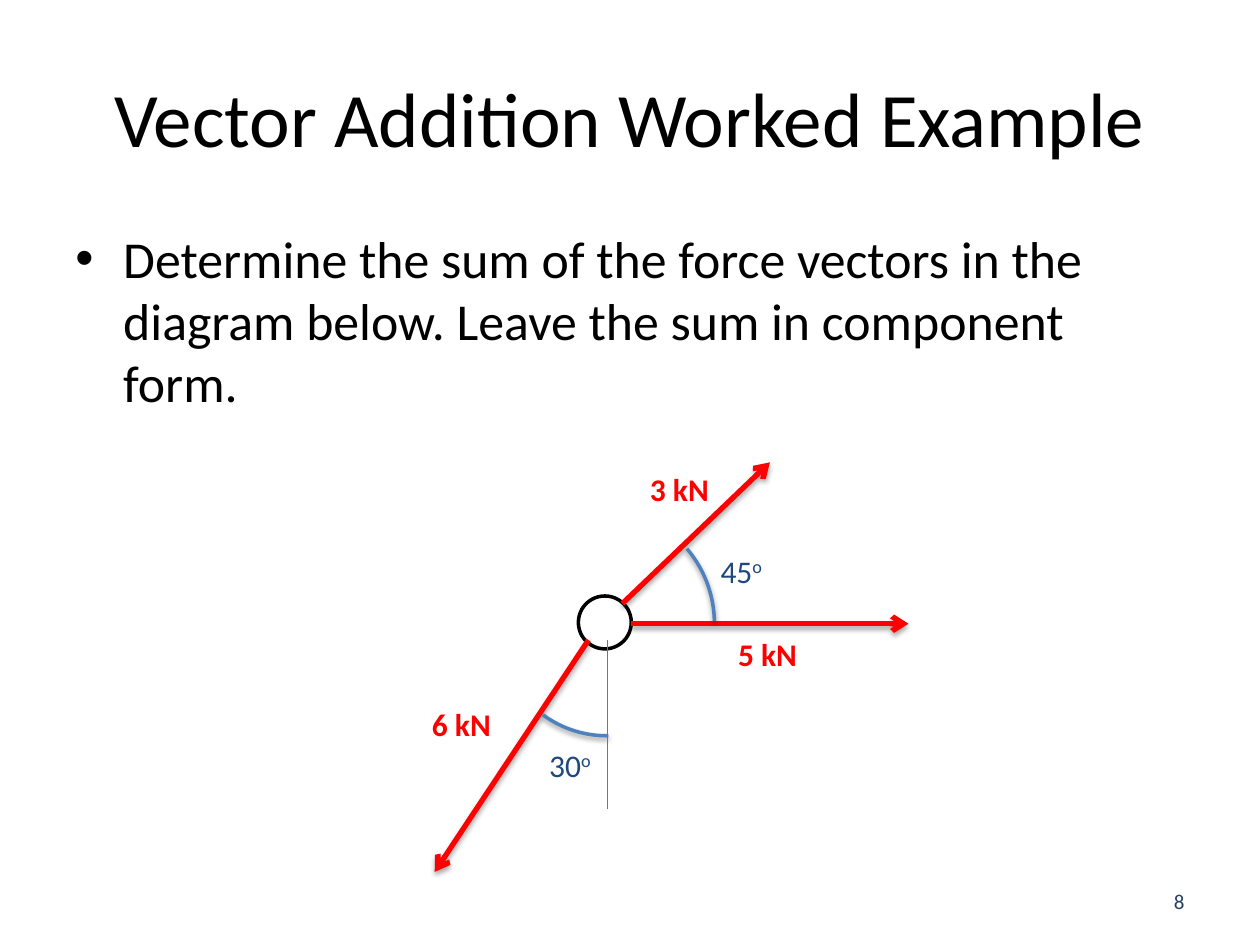
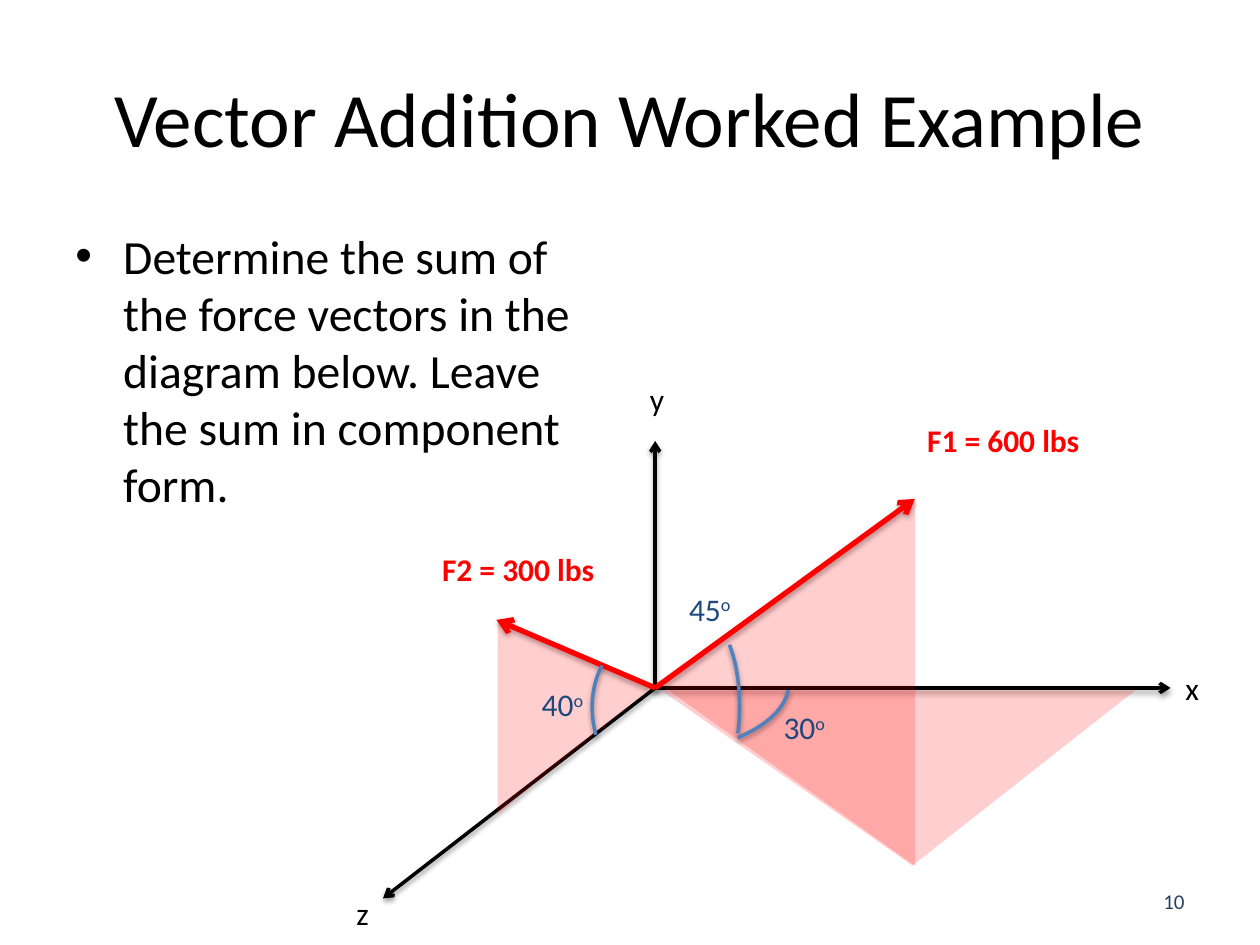
from lxml.etree import SubElement
from pptx import Presentation
from pptx.dml.color import RGBColor
from pptx.enum.shapes import MSO_CONNECTOR, MSO_SHAPE
from pptx.enum.text import MSO_ANCHOR, PP_ALIGN
from pptx.oxml.ns import qn
from pptx.util import Inches, Pt

FONT = "Calibri"
COLORS = {
    "text": "000000",
    "paper": "FFFFFF",
    "force": "FF0000",
    "arc": "4F81BD",
    "reference": "4B7EBC",
    "angle": "1F497D",
    "number": "254061",
}
TITLE = "Vector Addition Worked Example"
TASK = ("Determine the sum of the force vectors in the diagram below. "
        "Leave the sum in component form.")


def rgb(name):
    return RGBColor.from_string(COLORS[name])


def inches(values):
    return [Inches(v) for v in values]


def add_effects(shape, alpha=None, dist=1.57):
    """Replace the theme shadow by a soft one below, or by none without alpha."""
    effects = SubElement(shape._element.spPr, qn("a:effectLst"))
    if alpha:
        shadow = SubElement(effects, qn("a:outerShdw"), blurRad=str(Pt(3.1)),
                            dist=str(Pt(dist)), dir="5400000", rotWithShape="0")
        color = SubElement(shadow, qn("a:srgbClr"), val=COLORS["text"])
        SubElement(color, qn("a:alpha"), val=str(alpha * 1000))


def add_bullet(p, indent=0.38):
    pPr = p._p.get_or_add_pPr()
    pPr.set("marL", str(Inches(indent)))
    pPr.set("indent", str(-Inches(indent)))
    SubElement(pPr, qn("a:buFont"), typeface="Arial")
    SubElement(pPr, qn("a:buChar"), char="•")


def add_text(s, text, box, size=18, color="text", bold=False, sup="",
             align=PP_ALIGN.LEFT, anchor=MSO_ANCHOR.TOP, wrap=True, bullet=False):
    tf = s.shapes.add_textbox(*inches(box)).text_frame
    tf.word_wrap = wrap
    tf.vertical_anchor = anchor
    p = tf.paragraphs[0]
    p.alignment = align
    if bullet:
        add_bullet(p)
    for part in filter(None, (text, sup)):
        r = p.add_run()
        r.text = part
        r.font.name = FONT
        r.font.size = Pt(size)
        r.font.bold = bold
        r.font.color.rgb = rgb(color)
        if part is sup:
            r.font._element.set("baseline", "30000")


def add_label(s, text, left, top, width, **fmt):
    add_text(s, text, (left, top, width, 0.4), wrap=False, **fmt)


def add_force_label(s, text, left, top, width):
    add_label(s, text, left, top, width, color="force", bold=True)


def add_angle(s, degrees, left, top):
    add_text(s, degrees, (left, top, 0.75, 0.4), color="angle", sup="o")


def add_line(s, start, end, color, width):
    line = s.shapes.add_connector(MSO_CONNECTOR.STRAIGHT, *inches(start + end))
    line.line.color.rgb = rgb(color)
    line.line.width = Pt(width)
    return line


def add_arrow(s, start, end, color, width):
    arrow = add_line(s, start, end, color, width)
    SubElement(arrow.line._get_or_add_ln(), qn("a:tailEnd"), type="arrow")
    return arrow


def add_force(s, start, end):
    add_effects(add_arrow(s, start, end, "force", 3), alpha=35, dist=1.81)


def add_axis(s, start, end):
    add_effects(add_arrow(s, start, end, "text", 2), alpha=38)


def add_arc(s, box, start, end, flip=False):
    """Draw an arc between two angles in degrees, clockwise from the right."""
    sp = s.shapes.add_shape(MSO_SHAPE.ARC, *inches(box))
    # Arc adjustments count 60000ths of a degree, scaled by 100000.
    sp.adjustments[0] = start * 0.6
    sp.adjustments[1] = end * 0.6
    if flip:
        sp._element.spPr.xfrm.set("flipH", "1")
    sp.fill.background()
    sp.line.color.rgb = rgb("arc")
    sp.line.width = Pt(2)
    add_effects(sp, alpha=38)


def add_plane(s, box, apex=0.5, rotation=0, flip=False):
    """Draw a see-through triangle in which a force or its projection lies."""
    sp = s.shapes.add_shape(MSO_SHAPE.ISOSCELES_TRIANGLE, *inches(box))
    sp.adjustments[0] = apex
    sp.rotation = rotation
    if flip:
        sp._element.spPr.xfrm.set("flipV", "1")
    sp.fill.solid()
    sp.fill.fore_color.rgb = rgb("force")
    color = sp._element.spPr.find(".//" + qn("a:srgbClr"))
    SubElement(color, qn("a:alpha"), val="19000")
    sp.line.fill.background()
    add_effects(sp)


def add_particle(s, left, top, size):
    sp = s.shapes.add_shape(MSO_SHAPE.OVAL, *inches((left, top, size, size)))
    sp.fill.solid()
    sp.fill.fore_color.rgb = rgb("paper")
    sp.line.color.rgb = rgb("text")
    sp.line.width = Pt(2)
    add_effects(sp)


def add_example(prs, number, task_size, task_width, task_height):
    """Add a slide with the shared title, task and slide number."""
    s = prs.slides.add_slide(prs.slide_layouts[6])
    add_text(s, TITLE, (0.5, 0.3, 9, 1.25), size=44,
             align=PP_ALIGN.CENTER, anchor=MSO_ANCHOR.MIDDLE)
    add_text(s, TASK, (0.5, 1.75, task_width, task_height),
             size=task_size, bullet=True)
    add_text(s, number, (7.17, 6.95, 2.33, 0.4), size=12, color="number",
             align=PP_ALIGN.RIGHT, anchor=MSO_ANCHOR.MIDDLE)
    return s


def build_plane_forces(prs):
    s = add_example(prs, "8", 29.6, 9, 1.33)
    add_particle(s, 4.59, 4.73, 0.42)
    for start, end in [((5.01, 4.95), (7.21, 4.95)),
                       ((4.94, 4.79), (6.11, 3.67)),
                       ((4.67, 5.08), (3.45, 6.92))]:
        add_force(s, start, end)
    add_arc(s, (3.94, 4.04, 1.75, 1.8), 89.18, 124.72)
    add_angle(s, "45", 5.62, 4.33)
    add_effects(add_line(s, (4.82, 6.42), (4.82, 5.08), "reference", 0.75))
    add_arc(s, (3.92, 4.05, 1.75, 1.8), 317.84, 358.6)
    add_angle(s, "30", 4.26, 5.87)
    for text, left, top in [("3 kN", 5.06, 3.68), ("5 kN", 5.76, 4.99),
                            ("6 kN", 3.33, 5.55)]:
        add_force_label(s, text, left, top, 0.76)


def build_space_forces(prs):
    s = add_example(prs, "10", 27.2, 4.2, 2.36)
    origin = (5.2, 5.46)
    for name, tip, left, top in [("z", (3.04, 7.13), 2.73, 7.05),
                                 ("x", (9.29, 5.46), 9.31, 5.26),
                                 ("y", (5.2, 3.5), 5.06, 2.97)]:
        add_axis(s, origin, tip)
        add_label(s, name, left, top, 0.31)
    for text, tip, left, top in [("F1 = 600 lbs", (7.26, 3.96), 7.26, 3.29),
                                 ("F2 = 300 lbs", (3.94, 4.92), 3.41, 4.32)]:
        add_force(s, origin, tip)
        add_force_label(s, text, left, top, 1.42)

    add_plane(s, (4.78, 4.39, 2.92, 2.05), rotation=270)
    add_plane(s, (5.25, 5.48, 3.76, 1.39), apex=0.53, flip=True)
    add_plane(s, (3.81, 5.07, 1.53, 1.25), apex=0.33, rotation=90)

    add_arc(s, (4.7, 5.13, 0.58, 0.97), 140.08, 237.44)
    add_arc(s, (5.33, 4.92, 0.54, 1.37), 140.08, 248.71, flip=True)
    add_arc(s, (3.83, 4.86, 2.43, 1.14), 152.42, 177.77, flip=True)
    for degrees, left, top in [("40", 4.2, 5.39), ("30", 6.12, 5.57),
                               ("45", 5.37, 4.63)]:
        add_angle(s, degrees, left, top)


def main():
    prs = Presentation()
    prs.slide_width, prs.slide_height = Inches(10), Inches(7.5)
    build_plane_forces(prs)
    build_space_forces(prs)
    prs.save("out.pptx")


if __name__ == "__main__":
    main()
